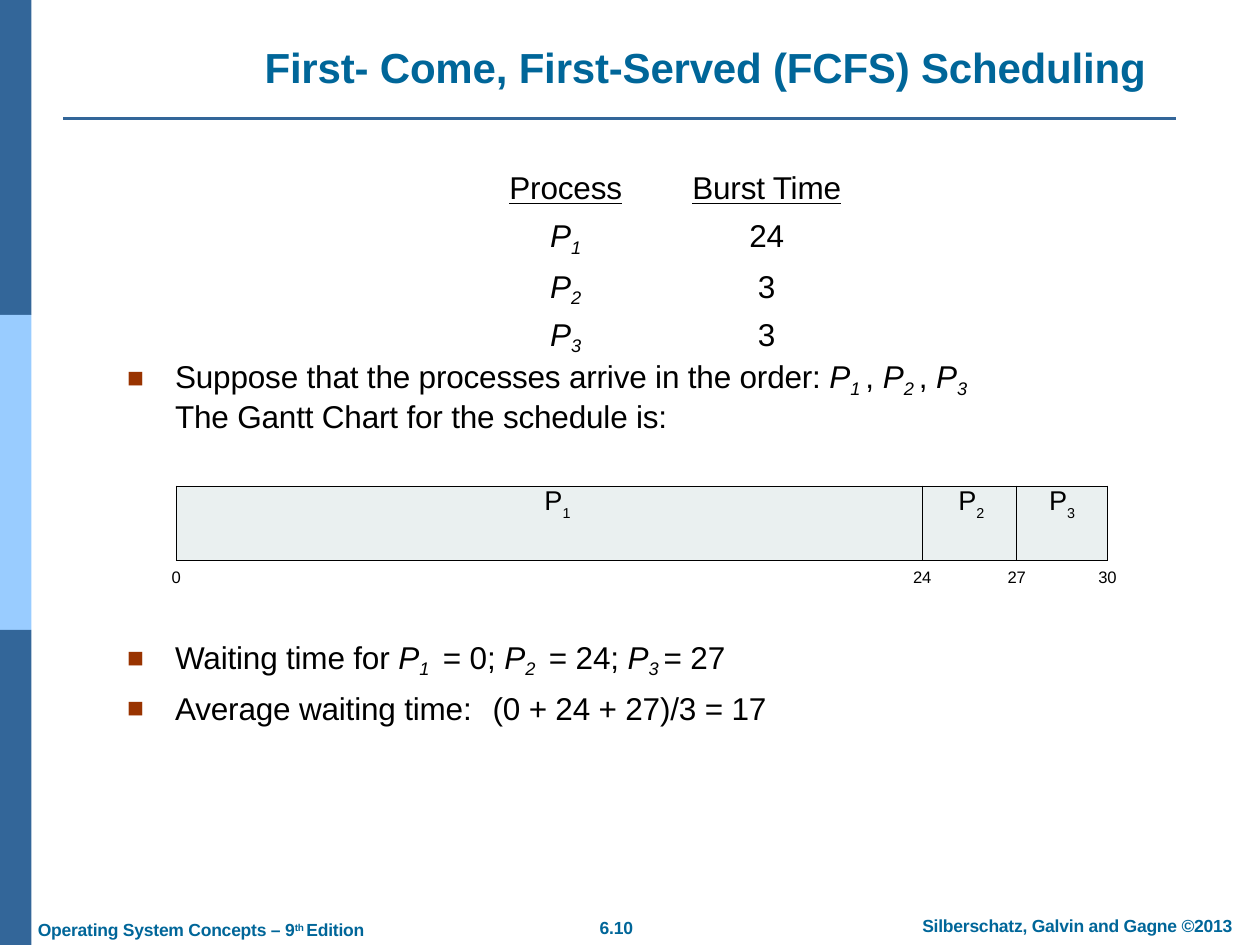
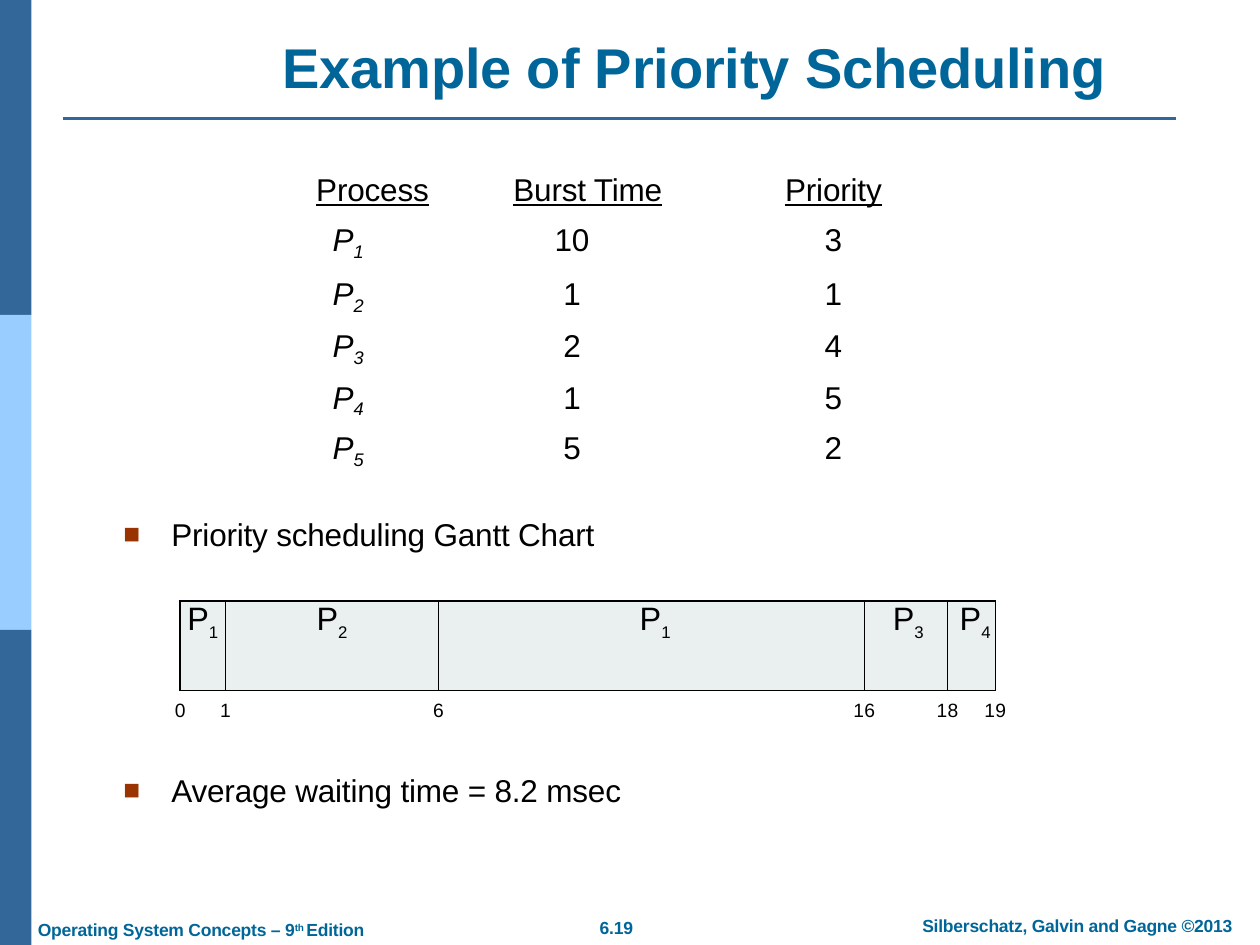
"""Build two CPU scheduling slides: first-come, first-served and priority."""
from dataclasses import dataclass
from itertools import accumulate
from typing import NamedTuple, Optional, Sequence, Union

from lxml import etree
from pptx import Presentation
from pptx.dml.color import RGBColor
from pptx.enum import shapes, text
from pptx.oxml import ns
from pptx.slide import Slide
from pptx.util import Inches, Pt

BLUE = RGBColor(0x33, 0x66, 0x99)
LIGHT_BLUE = RGBColor(0x99, 0xCC, 0xFF)
TITLE_BLUE = RGBColor(0x00, 0x66, 0x99)
BULLET_RED = RGBColor(0x99, 0x33, 0x00)
GANTT_FILL = RGBColor(0xEA, 0xF0, 0xF0)
BLACK = RGBColor(0, 0, 0)
FONT = "Arial"
LEFT = text.PP_ALIGN.LEFT
CENTER = text.PP_ALIGN.CENTER


class Span(NamedTuple):
    """A stretch of text that differs from its paragraph."""
    words: str
    italic: bool = False
    baseline: int = 0
    size: Optional[float] = None


Line = Sequence[Union[str, Span]]


@dataclass
class Column:
    """A column of a process table, lengths in inches."""
    heading: str
    width: float
    align: text.PP_ALIGN = CENTER
    heading_indent: float = 0
    body_indent: float = 0
    right_margin: float = 0


@dataclass
class Bar:
    """A bar of a Gantt chart and the time at which it ends."""
    process: int
    end: int
    width: float
    indent: float = 0


@dataclass
class Gantt:
    """A Gantt chart with its place and type sizes."""
    left: float
    top: float
    height: float
    bars: Sequence[Bar]
    size: float
    subscript_size: float
    tracking: float
    border: float
    label_top: float
    label_size: float
    label_tracking: float


def process(number: int, trail: str = "") -> list[Span]:
    """Return an italic process name with a subscript number."""
    return [Span("P", True), Span(f"{number}{trail}", True, -21)]


def add_element(parent, tag: str, **attributes):
    """Append a DrawingML element."""
    return etree.SubElement(parent, ns.qn(tag), attributes)


def write(paragraph, line: Line, *, size: float = 18, color: RGBColor = BLACK,
          bold: bool = False, underline: bool = False, tracking: float = -0.1,
          align: text.PP_ALIGN = LEFT, line_points: float = 0,
          space_before: float = 0) -> None:
    """Fill a paragraph with formatted runs."""
    paragraph.alignment = align
    if line_points:
        paragraph.line_spacing = Pt(line_points)
    if space_before:
        paragraph.space_before = Pt(space_before)
    for part in line:
        span = Span(part) if isinstance(part, str) else part
        run = paragraph.add_run()
        run.text = span.words
        font = run.font
        font.name, font.size = FONT, Pt(span.size or size)
        font.bold, font.italic, font.underline = bold, span.italic, underline
        font.color.rgb = color
        properties = run._r.get_or_add_rPr()
        properties.set("spc", str(round(tracking * 100)))
        if span.baseline:
            properties.set("baseline", str(span.baseline * 1000))


def add_text(slide: Slide, left: float, top: float, width: float, height: float,
             *lines: Line, **style):
    """Add a text box without margins and return its frame."""
    frame = slide.shapes.add_textbox(Inches(left), Inches(top),
                                     Inches(width), Inches(height)).text_frame
    frame.word_wrap = True
    frame.margin_left = frame.margin_right = frame.margin_top = frame.margin_bottom = 0
    for index, line in enumerate(lines):
        paragraph = frame.add_paragraph() if index else frame.paragraphs[0]
        write(paragraph, line, **style)
    return frame


def indent_paragraph(paragraph, bullet: bool = True, tab: float = 0) -> None:
    """Indent a paragraph, with a square bullet and a tab stop on request."""
    properties = paragraph._p.get_or_add_pPr()
    properties.set("marL", str(Inches(0.39)))
    properties.set("indent", str(Inches(-0.38) if bullet else 0))
    if bullet:
        color = add_element(properties, "a:buClr")
        add_element(color, "a:srgbClr", val=str(BULLET_RED))
        add_element(properties, "a:buSzPct", val="89000")
        add_element(properties, "a:buFont", typeface=FONT)
        add_element(properties, "a:buChar", char="■")
    if tab:
        stops = add_element(properties, "a:tabLst")
        add_element(stops, "a:tab", pos=str(Inches(tab)), algn="l")


def add_bullet(slide: Slide, left: float, top: float, line: Line) -> None:
    """Add a text box with one bullet."""
    indent_paragraph(add_text(slide, left, top, 7, 0.31, line).paragraphs[0])


def add_base(presentation, title: str, title_left: float, title_top: float,
             title_size: float, number: str) -> Slide:
    """Add a slide with side bands, title, rule and footers."""
    slide = presentation.slides.add_slide(presentation.slide_layouts[6])
    for index, color in enumerate((BLUE, LIGHT_BLUE, BLUE)):
        band = slide.shapes.add_shape(shapes.MSO_SHAPE.RECTANGLE, 0,
                                      Inches(2.5 * index), Inches(0.25), Inches(2.5))
        band.shadow.inherit = False
        band.fill.solid()
        band.fill.fore_color.rgb = color
        band.line.fill.background()
    rule = slide.shapes.add_connector(shapes.MSO_CONNECTOR.STRAIGHT, Inches(0.5),
                                      Inches(0.94), Inches(9.33), Inches(0.94))
    rule.line.color.rgb = BLUE
    rule.line.width = Pt(1.5)
    add_element(rule._element.spPr, "a:effectLst")
    heading = {"color": TITLE_BLUE, "bold": True}
    add_text(slide, title_left, title_top, 9.8 - title_left, 0.54, [title],
             size=title_size, **heading)
    edition = ["Operating System Concepts – 9", Span("th ", baseline=26, size=9.8), "Edition"]
    for left, top, width, line in (
            (7.32, 7.26, 2.6, ["Silberschatz, Galvin and Gagne ©2013"]),
            (0.3, 7.29, 2.75, edition),
            (4.76, 7.28, 0.4, [number])):
        add_text(slide, left, top, width, 0.17, line, size=10, **heading)
    return slide


def add_grid(slide: Slide, left: float, top: float, widths: Sequence[float],
             heights: Sequence[float]):
    """Add a plain table with the given column widths and row heights."""
    table = slide.shapes.add_table(len(heights), len(widths), Inches(left), Inches(top),
                                   Inches(sum(widths)), Inches(sum(heights))).table
    table.first_row = table.horz_banding = False
    for column, width in zip(table.columns, widths):
        column.width = Inches(width)
    for row, height in zip(table.rows, heights):
        row.height = Inches(height)
    for cell in table.iter_cells():
        cell.margin_left = cell.margin_right = cell.margin_top = cell.margin_bottom = 0
        cell.fill.background()
    return table


def add_process_table(slide: Slide, left: float, top: float, columns: Sequence[Column],
                      heights: Sequence[float], values: Sequence[Sequence[int]]) -> None:
    """Add a table of processes numbered from one."""
    table = add_grid(slide, left, top, [column.width for column in columns], heights)
    rows = [[[column.heading] for column in columns]]
    rows += [[process(number), *([str(value)] for value in numbers)]
             for number, numbers in enumerate(values, 1)]
    for row_index, row in enumerate(rows):
        for column_index, (column, line) in enumerate(zip(columns, row)):
            is_heading = row_index == 0
            cell = table.cell(row_index, column_index)
            cell.margin_left = Inches(column.heading_indent if is_heading
                                      else column.body_indent)
            cell.margin_right = Inches(column.right_margin)
            write(cell.text_frame.paragraphs[0], line, align=column.align,
                  underline=is_heading)


def add_borders(cell, width: float) -> None:
    """Draw black lines on all sides of a cell."""
    properties = cell._tc.get_or_add_tcPr()
    for index, side in enumerate(("a:lnL", "a:lnR", "a:lnT", "a:lnB")):
        line = add_element(properties, side, w=str(Pt(width)))
        add_element(add_element(line, "a:solidFill"), "a:srgbClr", val=str(BLACK))
        properties.insert(index, line)


def add_gantt(slide: Slide, gantt: Gantt) -> None:
    """Add a Gantt chart as a one-row table with times under its edges."""
    widths = [bar.width for bar in gantt.bars]
    table = add_grid(slide, gantt.left, gantt.top, widths, [gantt.height])
    for index, bar in enumerate(gantt.bars):
        cell = table.cell(0, index)
        cell.margin_left = Inches(bar.indent)
        cell.fill.solid()
        cell.fill.fore_color.rgb = GANTT_FILL
        add_borders(cell, gantt.border)
        number = Span(str(bar.process), baseline=-29, size=gantt.subscript_size)
        write(cell.text_frame.paragraphs[0], ["P", number], size=gantt.size,
              tracking=gantt.tracking, align=CENTER)
    times = [0, *(bar.end for bar in gantt.bars)]
    for time, edge in zip(times, accumulate(widths, initial=gantt.left)):
        add_text(slide, edge - 0.15, gantt.label_top, 0.3, 0.2, [str(time)],
                 size=gantt.label_size, tracking=gantt.label_tracking, align=CENTER)


def build_fcfs(presentation) -> None:
    """Build the first-come, first-served slide."""
    slide = add_base(presentation, "First- Come, First-Served (FCFS) Scheduling",
                     2.1, 0.33, 24, "6.10")
    add_process_table(slide, 3.85, 1.36,
                      [Column("Process", 1.28), Column("Burst Time", 1.91)],
                      [0.38, 0.4, 0.38, 0.39], [[24], [3], [3]])
    order = ["Suppose that the processes arrive in the order: ", *process(1, " "), ", ",
             *process(2, " "), ", ", *process(3)]
    arrival = add_text(slide, 1, 2.88, 7, 0.58, order,
                       ["The Gantt Chart for the schedule is:"], line_points=20.5)
    indent_paragraph(arrival.paragraphs[0])
    indent_paragraph(arrival.paragraphs[1], bullet=False)
    add_gantt(slide, Gantt(
        1.4, 3.86, 0.59,
        [Bar(1, 24, 5.92, 0.13), Bar(2, 27, 0.75, 0.03), Bar(3, 30, 0.72)],
        15.5, 14.2, -0.7, 0.83, 4.5, 9.5, -0.1))
    waiting = add_text(slide, 1, 5.06, 7, 0.69,
                       ["Waiting time for ", *process(1, " "), " = 0; ", *process(2, " "),
                        " = 24; ", *process(3, " "), "= 27"])
    indent_paragraph(waiting.paragraphs[0])
    average = waiting.add_paragraph()
    write(average, ["Average waiting time:\t(0 + 24 + 27)/3 = 17"], space_before=5.4)
    indent_paragraph(average, tab=2.91)


def build_priority(presentation) -> None:
    """Build the priority scheduling slide."""
    slide = add_base(presentation, "Example of Priority Scheduling", 2.24, 0.26, 32, "6.19")
    columns = [Column("Process", 1.26, LEFT, 0.02, 0.15),
               Column("Burst Time", 2.01, CENTER, 0.25, 0, 0.43),
               Column("Priority", 1.27, CENTER, 0.44, 0.44)]
    add_process_table(slide, 2.49, 1.37, columns, [0.4, 0.43, 0.41, 0.41, 0.4, 0.42],
                      [[10, 3], [1, 1], [2, 4], [1, 5], [5, 2]])
    add_bullet(slide, 0.97, 4.09, ["Priority scheduling Gantt Chart"])
    add_gantt(slide, Gantt(
        1.43, 4.77, 0.71,
        [Bar(1, 1, 0.36), Bar(2, 6, 1.69), Bar(1, 16, 3.38, 0.06),
         Bar(3, 18, 0.66, 0.04), Bar(4, 19, 0.38, 0.06)],
        18.5, 16.5, -1, 1, 5.54, 11, 0.2))
    add_bullet(slide, 0.97, 6.12, ["Average waiting time = 8.2 msec"])


def main() -> None:
    """Create and save the presentation."""
    presentation = Presentation()
    presentation.slide_width = Inches(10)
    presentation.slide_height = Inches(7.5)
    build_fcfs(presentation)
    build_priority(presentation)
    presentation.save("out.pptx")


if __name__ == "__main__":
    main()
